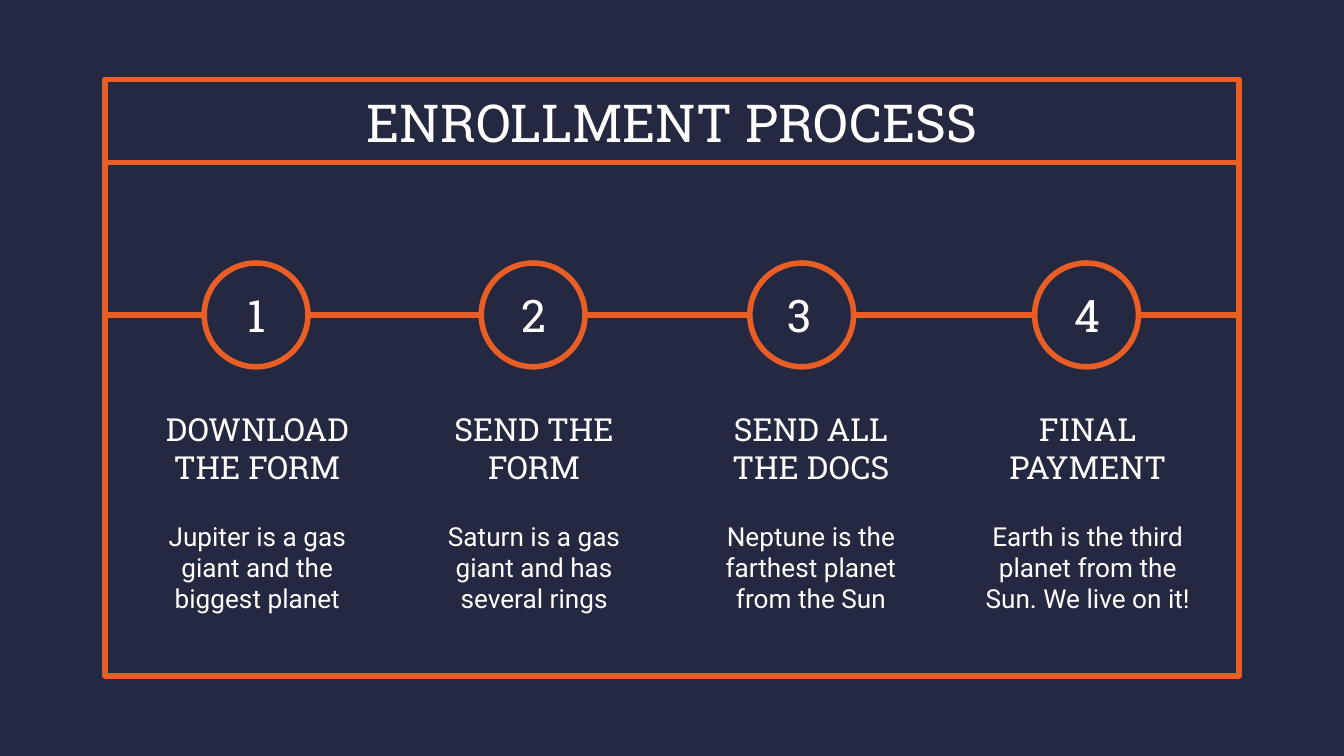
from lxml import etree
from pptx import Presentation
from pptx.dml.color import RGBColor
from pptx.enum.shapes import MSO_CONNECTOR, MSO_SHAPE
from pptx.enum.text import MSO_ANCHOR, MSO_AUTO_SIZE, PP_ALIGN
from pptx.oxml.ns import qn
from pptx.util import Pt

RECTANGLE, OVAL = MSO_SHAPE.RECTANGLE, MSO_SHAPE.OVAL
STRAIGHT = MSO_CONNECTOR.STRAIGHT
MIDDLE, CENTER, NO_FIT = MSO_ANCHOR.MIDDLE, PP_ALIGN.CENTER, MSO_AUTO_SIZE.NONE

NAVY, ORANGE, WHITE = "242841", "E95E24", "FFFFFF"
SLAB, SANS = "Roboto Slab", "Roboto"
TITLE_LAYOUT = 5

FRAME_LEFT, FRAME_TOP, FRAME_WIDTH, FRAME_HEIGHT = 56.2, 42.5, 607.6, 319.6
TITLE_HEIGHT = 45
TIMELINE_Y = 168.7
CIRCLE_SIZE = 55.6
NUMBER_WIDTH, NUMBER_HEIGHT = 44.6, 31.6
COLUMN_LEFT, COLUMN_STEP, COLUMN_WIDTH = 69.8, 148.3, 136.1

STEPS = [
    (137.2, 137.5, "DOWNLOAD THE FORM", "Jupiter is a gas giant and the biggest planet"),
    (285.6, 285.8, "SEND THE FORM", "Saturn is a gas giant and has several rings"),
    (429.5, 428.4, "SEND ALL THE DOCS", "Neptune is the farthest planet from the Sun"),
    (582.1, 582.5, "FINAL PAYMENT", "Earth is the third planet from the Sun. We live on it!"),
]


def color(value):
    """Turn a hex string into a colour."""
    return RGBColor.from_string(value)


def write(holder, text, font_name, size, space_after=0):
    """Put centred white text into a shape."""
    frame = holder.text_frame
    frame.text = text
    frame.word_wrap = True
    frame.auto_size = NO_FIT
    frame.vertical_anchor = MIDDLE
    frame.margin_left = frame.margin_right = Pt(7.2)
    frame.margin_top = frame.margin_bottom = Pt(7.2)
    paragraph = frame.paragraphs[0]
    paragraph.alignment = CENTER
    paragraph.space_after = Pt(space_after)
    font = paragraph.runs[0].font
    font.name = font_name
    font.size = Pt(size)
    font.color.rgb = color(WHITE)


def add_title(slide, text):
    """Place the slide title in the head of the frame."""
    title = slide.shapes.title
    title.left, title.top = Pt(FRAME_LEFT), Pt(FRAME_TOP)
    title.width, title.height = Pt(FRAME_WIDTH), Pt(TITLE_HEIGHT)
    write(title, text, SLAB, 28)


def add_label(slide, left, top, width, height, text, font_name, size, space_after=0):
    """Add a text box."""
    label = slide.shapes.add_textbox(Pt(left), Pt(top), Pt(width), Pt(height))
    write(label, text, font_name, size, space_after)


def add_outline(slide, preset, left, top, width, height, fill=None):
    """Add a preset shape with an orange outline."""
    outline = slide.shapes.add_shape(preset, Pt(left), Pt(top), Pt(width), Pt(height))
    outline.shadow.inherit = False
    if fill:
        outline.fill.solid()
        outline.fill.fore_color.rgb = color(fill)
    else:
        outline.fill.background()
    outline.line.color.rgb = color(ORANGE)
    outline.line.width = Pt(3)


def add_rule(slide, y):
    """Draw an orange line across the frame."""
    rule = slide.shapes.add_connector(
        STRAIGHT, Pt(FRAME_LEFT + 1), Pt(y), Pt(FRAME_LEFT + FRAME_WIDTH - 1), Pt(y))
    rule.line.color.rgb = color(ORANGE)
    rule.line.width = Pt(3)
    etree.SubElement(rule.element.spPr, qn("a:effectLst"))


def add_step(slide, index, circle_center, number_center, heading, description):
    """Add a numbered circle with its heading and description."""
    add_outline(slide, OVAL, circle_center - CIRCLE_SIZE / 2,
                TIMELINE_Y - CIRCLE_SIZE / 2, CIRCLE_SIZE, CIRCLE_SIZE, NAVY)
    add_label(slide, number_center - NUMBER_WIDTH / 2, TIMELINE_Y - NUMBER_HEIGHT / 2,
              NUMBER_WIDTH, NUMBER_HEIGHT, str(index + 1), SLAB, 24)
    left = COLUMN_LEFT + index * COLUMN_STEP
    add_label(slide, left, 210.5, COLUMN_WIDTH, 58.3, heading, SLAB, 17, 12)
    add_label(slide, left, 269.3, COLUMN_WIDTH, 69.1, description, SANS, 14)


def main():
    """Build the enrollment process slide."""
    deck = Presentation()
    deck.slide_width, deck.slide_height = Pt(720), Pt(405)
    slide = deck.slides.add_slide(deck.slide_layouts[TITLE_LAYOUT])
    slide.background.fill.solid()
    slide.background.fill.fore_color.rgb = color(NAVY)

    add_outline(slide, RECTANGLE, FRAME_LEFT, FRAME_TOP, FRAME_WIDTH, FRAME_HEIGHT)
    add_rule(slide, 87)
    add_title(slide, "ENROLLMENT PROCESS")
    add_rule(slide, TIMELINE_Y)
    for index, step in enumerate(STEPS):
        add_step(slide, index, *step)
    deck.save("out.pptx")


if __name__ == "__main__":
    main()
